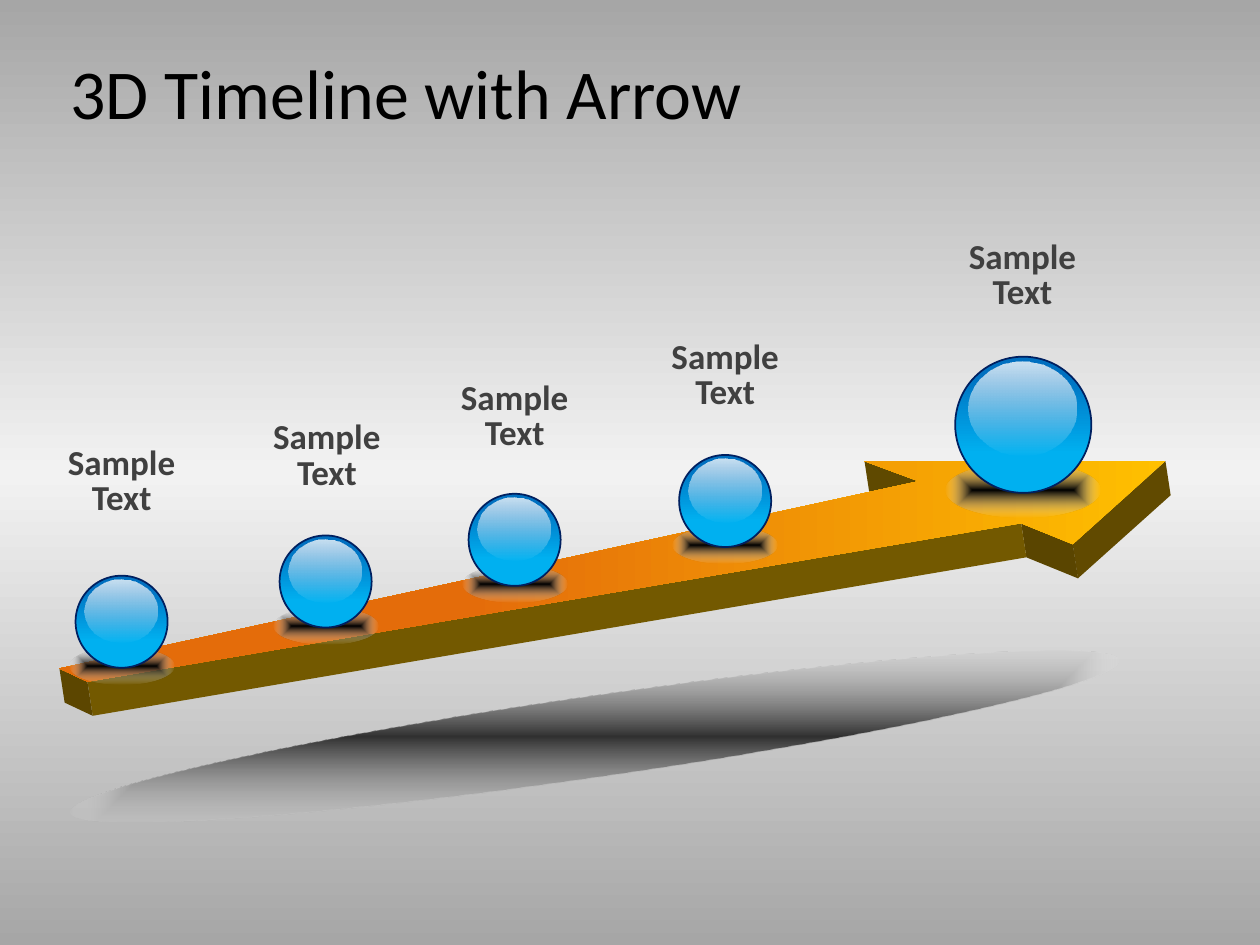
from lxml.etree import SubElement
from pptx import Presentation
from pptx.dml.color import RGBColor
from pptx.enum.shapes import MSO_SHAPE as Preset
from pptx.enum.text import MSO_ANCHOR as Anchor, MSO_AUTO_SIZE as AutoSize, PP_ALIGN as Align
from pptx.oxml.ns import qn
from pptx.util import Pt

FONT = "Calibri"
LABEL = "Sample Text"
SHADOW_STOPS = [(0, "000000", 100), (100, "FFFFFF", 0)]
BALL_STOPS = [(13, "0070C0", 100), (71, "00B0F0", 100)]
SHINE_STOPS = [(0, "FFFFFF", 80), (100, "FFFFFF", 0)]

# Milestones: label left, label top, ball left, ball top, ball diameter
MILESTONES = [
    (24.5, 252, 43.2, 329, 52.6),
    (141.8, 237.6, 159.8, 306, 52.6),
    (249.1, 215.3, 267.8, 282.2, 52.6),
    (369.4, 191.5, 388.1, 260, 52.6),
    (539.3, 134.6, 545.8, 203.8, 77.8),
]

# Outline of the arrow's top face, and the shift down to its underside
ARROW_TOP = [(34, 382), (525, 275), (494, 263.5), (666, 263.5),
             (613, 311), (583.5, 299), (50, 389.5)]
ARROW_DEPTH = (3, 19.5)
# Visible walls: index of the first corner of the edge, colour
ARROW_WALLS = [(1, "5F4900"), (3, "614A00"), (4, "5A4500"), (5, "735900"), (6, "5C4600")]


def rgb(hex_string):
    return RGBColor.from_string(hex_string)


def apply_gradient(fill, owner, stops, angle=None):
    """Fill with (position, colour, opacity) stops; without an angle they run out from the centre."""
    fill.gradient()
    gradient = owner.find(".//" + qn("a:gradFill"))
    for child in list(gradient):
        gradient.remove(child)
    gradient.set("rotWithShape", "0" if angle is None else "1")
    stop_list = SubElement(gradient, qn("a:gsLst"))
    for position, color, opacity in stops:
        stop = SubElement(stop_list, qn("a:gs"), pos=str(position * 1000))
        tint = SubElement(stop, qn("a:srgbClr"), val=color)
        if opacity < 100:
            SubElement(tint, qn("a:alpha"), val=str(opacity * 1000))
    if angle is None:
        route = SubElement(gradient, qn("a:path"))
        route.set("path", "shape")
        SubElement(route, qn("a:fillToRect"), l="50000", t="50000", r="50000", b="50000")
    else:
        SubElement(gradient, qn("a:lin"), ang=str(angle * 60000), scaled="0")


class TimelineSlide:
    def __init__(self, deck):
        self.slide = deck.slides.add_slide(deck.slide_layouts[5])
        self.shapes = self.slide.shapes

    def background(self, stops, angle):
        apply_gradient(self.slide.background.fill, self.slide.element, stops, angle)

    def title(self, text, left, top, width, height):
        title = self.shapes.title
        title.left, title.top, title.width, title.height = map(Pt, (left, top, width, height))
        title.text_frame.text = text
        title.text_frame.vertical_anchor = Anchor.MIDDLE
        paragraph = title.text_frame.paragraphs[0]
        paragraph.alignment = Align.LEFT
        self.style_font(paragraph, 40, "000000")

    def style_font(self, paragraph, size, color, bold=False):
        font = paragraph.font
        font.name, font.size, font.bold = FONT, Pt(size), bold
        font.color.rgb = rgb(color)

    def label(self, text, left, top):
        frame = self.shapes.add_textbox(Pt(left), Pt(top), Pt(90), Pt(48.2)).text_frame
        frame.word_wrap = True
        frame.auto_size = AutoSize.SHAPE_TO_FIT_TEXT
        paragraph = frame.paragraphs[0]
        paragraph.text = text
        paragraph.alignment = Align.CENTER
        paragraph.line_spacing = Pt(20)
        self.style_font(paragraph, 20, "404040", bold=True)

    def polygon(self, points, shapes):
        builder = shapes.build_freeform(Pt(points[0][0]), Pt(points[0][1]))
        builder.add_line_segments([(Pt(x), Pt(y)) for x, y in points[1:]], close=True)
        face = builder.convert_to_shape()
        face.shadow.inherit = False
        face.line.fill.background()
        return face

    def arrow(self):
        group = self.shapes.add_group_shape().shapes
        dx, dy = ARROW_DEPTH
        for corner, color in ARROW_WALLS:
            (x1, y1), (x2, y2) = ARROW_TOP[corner], ARROW_TOP[(corner + 1) % len(ARROW_TOP)]
            wall = self.polygon([(x1, y1), (x2, y2), (x2 + dx, y2 + dy), (x1 + dx, y1 + dy)], group)
            wall.fill.solid()
            wall.fill.fore_color.rgb = rgb(color)
        top = self.polygon(ARROW_TOP, group)
        apply_gradient(top.fill, top.element, [(0, "FFC000", 100), (63, "E46C0A", 100)], 180)

    def ellipse(self, left, top, width, height, stops, angle=None, outline=None, shapes=None):
        oval = (shapes or self.shapes).add_shape(
            Preset.OVAL, Pt(left), Pt(top), Pt(width), Pt(height))
        oval.shadow.inherit = False
        apply_gradient(oval.fill, oval.element, stops, angle)
        if outline:
            oval.line.color.rgb = rgb(outline)
            oval.line.width = Pt(1)
        else:
            oval.line.fill.background()
        return oval

    def ball(self, left, top, size):
        """Glossy ball with its contact shadow, all in proportion to the diameter."""
        group = self.shapes.add_group_shape().shapes
        self.ellipse(left - 0.07 * size, top + 0.78 * size, 1.14 * size, 0.4 * size,
                     SHADOW_STOPS, shapes=group)
        self.ellipse(left, top, size, size, BALL_STOPS, 90, "002060", group)
        self.ellipse(left + 0.1 * size, top + 0.04 * size, 0.79 * size, 0.69 * size,
                     SHINE_STOPS, 90, shapes=group)


def main():
    deck = Presentation()
    deck.slide_width, deck.slide_height = Pt(720), Pt(540)
    timeline = TimelineSlide(deck)
    timeline.background([(0, "A6A6A6", 100), (50, "F2F2F2", 100), (100, "A6A6A6", 100)], 90)
    timeline.arrow()
    timeline.title("3D Timeline with Arrow", 33.1, 18, 648, 68.4)
    for label_left, label_top, *_ in MILESTONES:
        timeline.label(LABEL, label_left, label_top)
    for _, _, *ball in MILESTONES:
        timeline.ball(*ball)
    ground_shadow = timeline.ellipse(37.4, 397.4, 604.8, 46.1,
                                     [(0, "262626", 93), (100, "FFFFFF", 0)])
    ground_shadow.rotation = 351.8
    deck.save("out.pptx")


if __name__ == "__main__":
    main()
